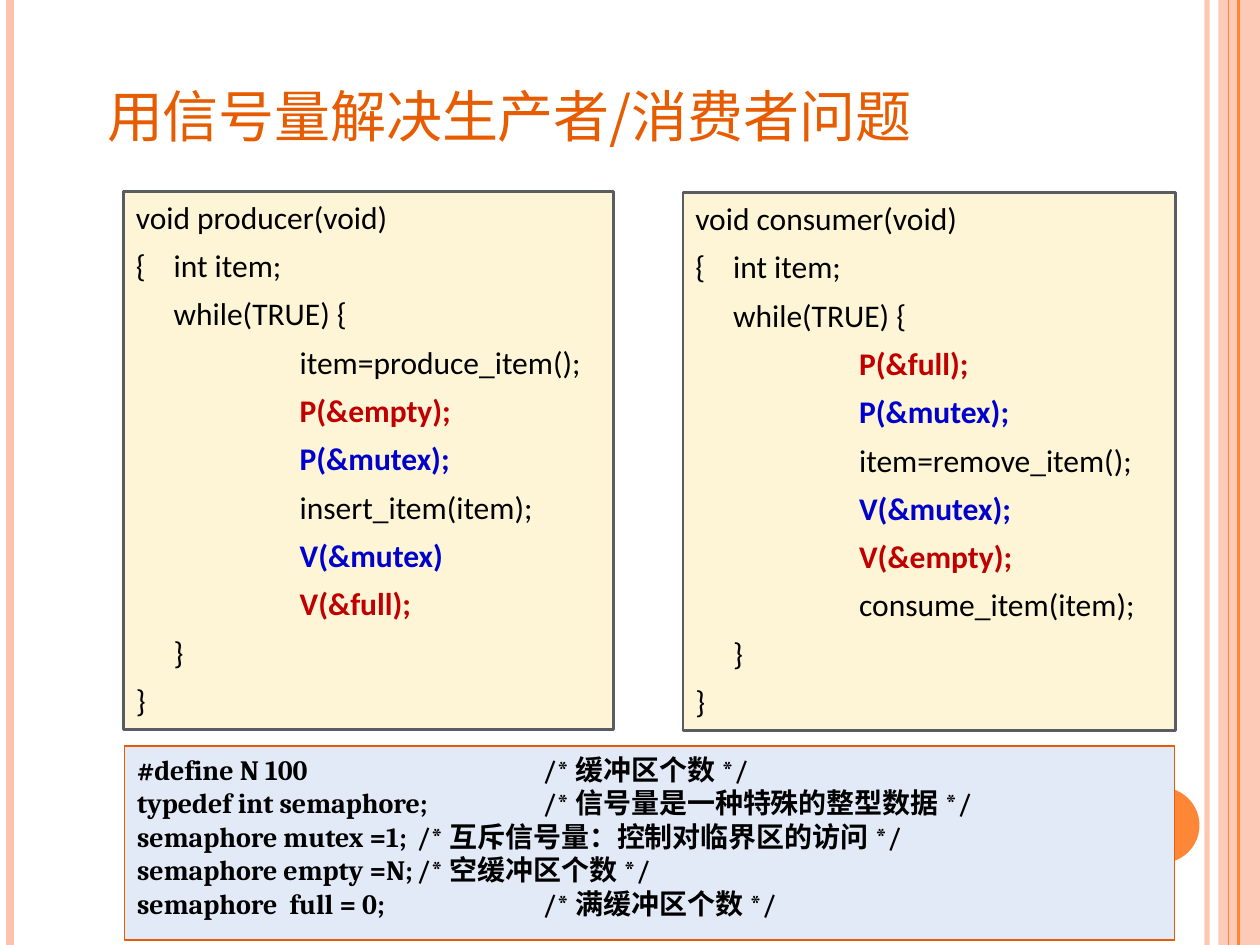
from dataclasses import dataclass

from lxml.etree import SubElement
from pptx import Presentation
from pptx.dml.color import RGBColor as Color
from pptx.enum.shapes import MSO_CONNECTOR as Connector, MSO_SHAPE as Shape
from pptx.enum.text import MSO_ANCHOR as Anchor, PP_ALIGN as Align
from pptx.oxml.ns import qn
from pptx.util import Inches, Pt


@dataclass(frozen=True)
class Theme:
    accent: str = "FE8637"
    pale: str = "FEC3AE"
    heading: str = "E75C01"
    code_fill: str = "FDF5D5"
    code_line: str = "595D63"
    define_fill: str = "E3EAF7"
    ink: str = "000000"
    count: str = "C00000"
    mutex: str = "0000CC"
    code_font: str = "Calibri"
    define_font: str = "Cambria"
    chinese_font: str = "Noto Sans CJK SC"
    title_size: int = 40
    code_size: int = 18
    define_size: int = 16


THEME = Theme()
WIDTH, HEIGHT = 10, 7.5

# Left-hand x, colour, line width, opacity of the full-height stripes
STRIPES = [
    (9.58, THEME.pale, 3, 93),
    (0.08, THEME.pale, 4.5, 100),
    (9.83, THEME.accent, 1.5, 100),
    (9.75, THEME.accent, 0.75, 100),
]

PRODUCER = ["item=produce_item();", "P(&empty);", "P(&mutex);",
            "insert_item(item);", "V(&mutex)", "V(&full);"]
CONSUMER = ["P(&full);", "P(&mutex);", "item=remove_item();",
            "V(&mutex);", "V(&empty);", "consume_item(item);"]

DEFINITIONS = [
    ("#define N 100\t\t", "缓冲区个数"),
    ("typedef int semaphore;\t", "信号量是一种特殊的整型数据"),
    ("semaphore mutex =1;\t", "互斥信号量：控制对临界区的访问"),
    ("semaphore empty =N;\t", "空缓冲区个数"),
    ("semaphore  full = 0;\t\t", "满缓冲区个数"),
]


def set_values(target, values):
    for name, value in values.items():
        setattr(target, name, value)


def set_opacity(colour_format, percent):
    """Add transparency to a solid fill or line."""
    for colour in colour_format.iter(qn("a:srgbClr")):
        SubElement(colour, qn("a:alpha"), val=str(percent * 1000))


def add_stripe(slide, x, colour, width, opacity):
    stripe = slide.shapes.add_connector(
        Connector.STRAIGHT, Inches(x), 0, Inches(x), Inches(HEIGHT))
    stripe.line.color.rgb = Color.from_string(colour)
    stripe.line.width = Pt(width)
    properties = stripe._element.spPr
    SubElement(properties, qn("a:effectLst"))
    if opacity < 100:
        set_opacity(properties, opacity)


def add_block(slide, kind, place, fill, line=None, width=0):
    block = slide.shapes.add_shape(kind, *map(Inches, place))
    block.shadow.inherit = False
    block.fill.solid()
    block.fill.fore_color.rgb = Color.from_string(fill)
    if line:
        block.line.color.rgb = Color.from_string(line)
        block.line.width = Pt(width)
    else:
        block.line.fill.background()
    return block


def add_span(para, text, font, size, colour=THEME.ink, bold=False):
    span = para.add_run()
    span.text = text
    set_values(span.font, {"name": font, "size": Pt(size), "bold": bold})
    span.font.color.rgb = Color.from_string(colour)
    if font == THEME.chinese_font:
        SubElement(span._r.get_or_add_rPr(), qn("a:ea"), typeface=font)
    return span


def add_paragraphs(box, count, indent, gap=0):
    """Return hanging-indent paragraphs with one-inch default tabs."""
    frame = box.text_frame
    set_values(frame, {"word_wrap": True, "vertical_anchor": Anchor.TOP})
    paras = [frame.paragraphs[0]]
    paras += [frame.add_paragraph() for _ in range(count - 1)]
    for number, para in enumerate(paras):
        set_values(para, {"alignment": Align.LEFT,
                          "space_before": Pt(gap if number else 0)})
        layout = para._p.get_or_add_pPr()
        for name, value in {"marL": indent, "indent": -indent, "defTabSz": 1}.items():
            layout.set(name, str(Inches(value)))
    return paras


def call_colour(line):
    """Semaphore calls are coloured; other statements stay plain."""
    if "(&" not in line:
        return None
    return THEME.mutex if "mutex" in line else THEME.count


def add_code(slide, place, name, body):
    box = add_block(slide, Shape.RECTANGLE, place,
                    THEME.code_fill, THEME.code_line, 1.5)
    lines = [f"void {name}(void)", "{\tint item;", "\twhile(TRUE) {",
             *("\t\t" + call for call in body), "\t}", "}"]
    for para, line in zip(add_paragraphs(box, len(lines), 0.3, 6), lines):
        colour = call_colour(line)
        add_span(para, line, THEME.code_font, THEME.code_size,
                 colour or THEME.ink, bool(colour))


def add_definitions(slide, place):
    box = add_block(slide, Shape.RECTANGLE, place,
                    THEME.define_fill, THEME.heading, 0.75)
    paras = add_paragraphs(box, len(DEFINITIONS), 0.22)
    for para, (code, comment) in zip(paras, DEFINITIONS):
        for text, font in ((code + "/* ", THEME.define_font),
                           (comment + " ", THEME.chinese_font),
                           ("*/", THEME.define_font)):
            add_span(para, text, font, THEME.define_size, bold=True)


def add_title(slide, text):
    title = slide.shapes.title
    set_values(title, {"left": Inches(0.75), "top": Inches(0.35),
                       "width": Inches(8.33), "height": Inches(0.9)})
    set_values(title.text_frame, {"vertical_anchor": Anchor.BOTTOM, "word_wrap": True})
    para = title.text_frame.paragraphs[0]
    para.alignment = Align.LEFT
    span = add_span(para, text, THEME.chinese_font, THEME.title_size, THEME.heading)
    span._r.get_or_add_rPr().set("cap", "small")


def main():
    deck = Presentation()
    set_values(deck, {"slide_width": Inches(WIDTH), "slide_height": Inches(HEIGHT)})
    page = deck.slides.add_slide(deck.slide_layouts[5])

    # Side decoration
    band = add_block(page, Shape.RECTANGLE, (9.67, 0, 0.33, HEIGHT), THEME.pale)
    set_opacity(band._element.spPr, 87)
    for stripe in STRIPES:
        add_stripe(page, *stripe)
    add_block(page, Shape.OVAL, (8.92, 6.25, 0.6, 0.6), THEME.accent)

    # Title, the two routines and the shared definitions
    add_title(page, "用信号量解决生产者/消费者问题")
    add_code(page, (0.98, 1.52, 3.89, 4.27), "producer", PRODUCER)
    add_code(page, (5.42, 1.53, 3.91, 4.27), "consumer", CONSUMER)
    add_definitions(page, (0.99, 5.92, 8.33, 1.54))

    deck.save("out.pptx")


if __name__ == "__main__":
    main()
